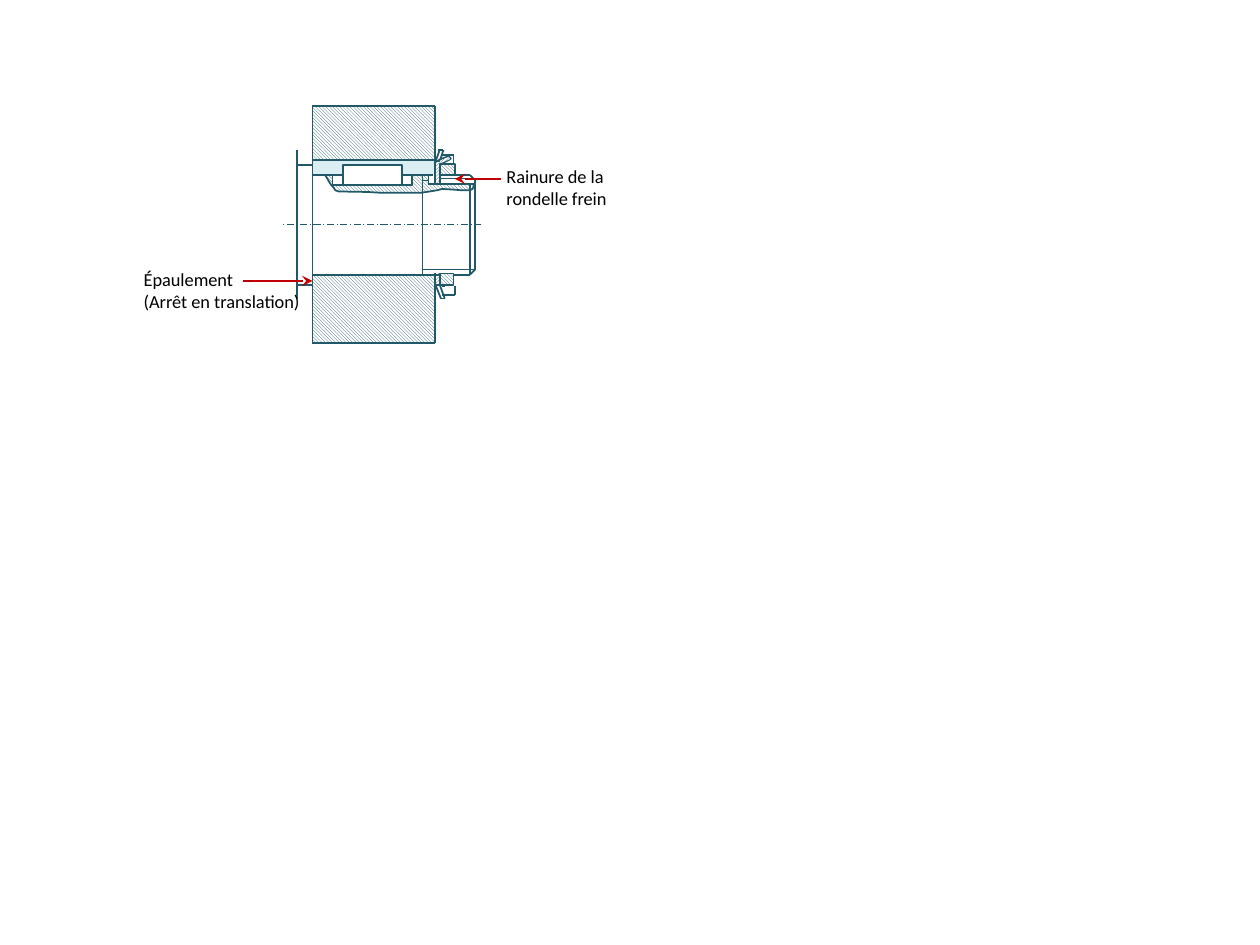
from itertools import pairwise

from lxml import etree
from pptx import Presentation
from pptx import util as u
from pptx.dml.color import RGBColor
from pptx.enum import dml, shapes, text
from pptx.oxml.ns import qn

COLUMNS, ROWS = 1000, 750
TEAL, PALE, WHITE, RED, BLACK = "215968", "DBEEF4", "FFFFFF", "C00000", "000000"
DOWN = dml.MSO_PATTERN.LIGHT_DOWNWARD_DIAGONAL
UP = dml.MSO_PATTERN.LIGHT_UPWARD_DIAGONAL


def colour(value):
    return RGBColor.from_string(value)


class Drawing:
    font = "Calibri"
    size = 10.5
    thick = 1
    thin = 0.5

    def __init__(self, deck):
        self.page = deck.slides.add_slide(deck.slide_layouts[6])
        self.column = deck.slide_width / COLUMNS
        self.row = deck.slide_height / ROWS

    def place(self, x, y):
        return round(x * self.column), round(y * self.row)

    def paint(self, shape, fill, outline):
        shape.shadow.inherit = False
        if fill in (UP, DOWN):
            shape.fill.patterned()
            shape.fill.pattern = fill
            shape.fill.fore_color.rgb = colour(TEAL)
            shape.fill.back_color.rgb = colour(WHITE)
        else:
            shape.fill.solid()
            shape.fill.fore_color.rgb = colour(fill)
        if outline:
            shape.line.color.rgb = colour(outline)
            shape.line.width = u.Pt(self.thick)
        else:
            shape.line.fill.background()

    def rect(self, x, y, width, height, fill, outline=None, turn=0):
        shape = self.page.shapes.add_shape(
            shapes.MSO_SHAPE.RECTANGLE, *self.place(x, y), *self.place(width, height))
        shape.rotation = turn
        self.paint(shape, fill, outline)

    def outline(self, points, fill):
        start, *rest = [self.place(*point) for point in points]
        builder = self.page.shapes.build_freeform(*start)
        builder.add_line_segments(rest, close=False)
        self.paint(builder.convert_to_shape(), fill, TEAL)

    def line(self, *points, tint=TEAL, width=thick, dash=None, arrow=False):
        for start, end in pairwise(points):
            edge = self.page.shapes.add_connector(
                shapes.MSO_CONNECTOR.STRAIGHT, *self.place(*start), *self.place(*end))
            edge.line.color.rgb = colour(tint)
            edge.line.width = u.Pt(width)
            if dash:
                edge.line.dash_style = dash
            if arrow:
                etree.SubElement(edge.line._ln, qn("a:tailEnd"), type="stealth")
            etree.SubElement(edge._element.spPr, qn("a:effectLst"))

    def label(self, x, y, width, height, *lines):
        box = self.page.shapes.add_textbox(*self.place(x, y), *self.place(width, height))
        frame = box.text_frame
        frame.word_wrap = True
        frame.auto_size = text.MSO_AUTO_SIZE.SHAPE_TO_FIT_TEXT
        frame.margin_left = u.Inches(0.04)
        frame.text = "\n".join(lines)
        for para in frame.paragraphs:
            para.font.name = self.font
            para.font.size = u.Pt(self.size)
            para.font.color.rgb = colour(BLACK)


def draw_hub(drawing):
    drawing.outline([
        (258, 139), (260, 142), (261, 144), (263, 147), (265, 149), (266, 151),
        (269, 152), (292, 152.4), (302, 153), (334, 153), (341, 152), (347, 151),
        (351, 150), (360, 150.5), (366, 151), (373, 151), (375, 150), (376, 148),
        (377, 144), (377, 139)], DOWN)
    drawing.rect(340, 137, 42, 9, WHITE)
    drawing.line((349, 142), (382, 142), width=drawing.thin)
    drawing.rect(346, 217, 5, 10, UP)
    drawing.rect(345, 128, 4, 17, UP)
    drawing.rect(264, 139, 63, 8, WHITE, TEAL)
    drawing.line((373, 139), (377, 143))
    drawing.rect(248, 127, 97, 11, PALE, PALE)
    drawing.rect(248, 85, 97, 42, DOWN)
    drawing.rect(248, 218, 97, 55, DOWN)
    drawing.line((248, 139), (344, 139))
    drawing.line((236, 131), (248, 131), (248, 226), (236, 226))
    drawing.line((236, 119), (236, 237))
    drawing.rect(272, 131, 47, 16, WHITE, TEAL)
    drawing.line((248, 127), (345, 127))
    drawing.line((248, 139), (248, 84), (345, 84), (345, 139))
    drawing.line((248, 218), (248, 272), (345, 272), (345, 217))


def draw_shaft(drawing):
    drawing.line((382, 178), (224, 178), width=drawing.thin,
                 dash=dml.MSO_LINE.LONG_DASH_DOT)
    drawing.line((335, 139), (335, 218), width=drawing.thin)
    drawing.line((335, 143), (340, 143), width=drawing.thin)
    drawing.line((335, 214), (377, 214), width=drawing.thin)
    drawing.line((340, 139), (340, 146), (377, 146))
    drawing.line((373, 146), (373, 218), (377, 214), (377, 142))
    drawing.line((373, 139), (359, 139))
    drawing.line((248, 218), (373, 218))


def draw_lock_nut(drawing):
    drawing.line((348, 119), (352, 119), (349, 128), (346, 128))
    drawing.line((349, 119), (345, 130), (345, 146))
    drawing.line((349, 130), (349, 146))
    drawing.line((352, 130), (350, 130), (358, 126), (356, 124), (348, 127))
    drawing.line((351, 123), (360, 123), (360, 130))
    drawing.rect(352, 123, 2, 8, UP, turn=66.6)
    drawing.rect(349, 130, 12, 9, DOWN, TEAL)

    drawing.line((350, 237), (346, 227))
    drawing.line((349, 237), (353, 237), (349, 226), (345, 226))
    drawing.line((353, 227), (351, 227))
    drawing.line((351, 234), (361, 234), (361, 227))
    drawing.rect(349, 217, 11, 9, DOWN, TEAL)


def draw_notes(drawing):
    drawing.label(110, 208, 191, 45, "Épaulement", "(Arrêt en translation)")
    drawing.line((193, 223), (248, 223), tint=RED, width=0.75, arrow=True)
    drawing.line((398, 142), (361, 142), tint=RED, width=0.75, arrow=True)
    drawing.label(398, 126, 123, 45, "Rainure de la rondelle frein")


def main():
    deck = Presentation()
    deck.slide_width, deck.slide_height = u.Inches(10), u.Inches(7.5)
    drawing = Drawing(deck)
    for draw in (draw_hub, draw_shaft, draw_lock_nut, draw_notes):
        draw(drawing)
    deck.save("out.pptx")


if __name__ == "__main__":
    main()
